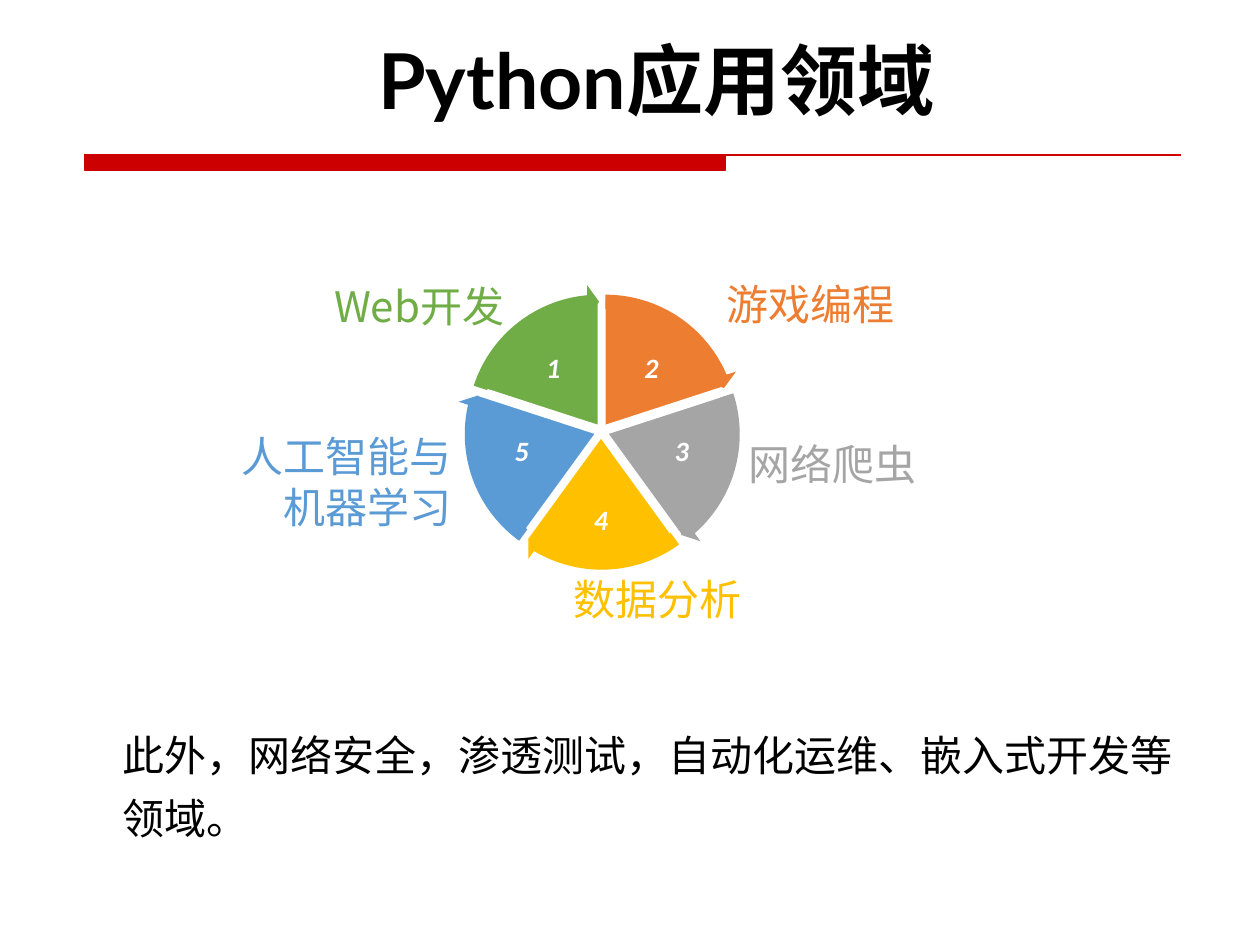
from lxml.etree import SubElement
from pptx import Presentation
from pptx.dml.color import RGBColor
from pptx.enum.shapes import MSO_SHAPE as Preset
from pptx.enum.text import MSO_ANCHOR as Anchor, MSO_AUTO_SIZE as AutoSize, PP_ALIGN as Align
from pptx.oxml.ns import qn
from pptx.util import Inches, Pt

COLORS = {
    "rule": "CC0000", "black": "000000", "white": "FFFFFF",
    "web": "70AD47", "games": "ED7D31", "crawler": "A5A5A5",
    "data": "FFC000", "ai": "5B9BD5",
}
CJK = "Noto Sans CJK SC"


def paint(shape, color, outline=None):
    shape.shadow.inherit = False
    shape.fill.solid()
    shape.fill.fore_color.rgb = RGBColor.from_string(COLORS[color])
    if outline:
        shape.line.color.rgb = RGBColor.from_string(COLORS[outline])
    else:
        shape.line.fill.background()


def add_text(shapes, box, lines, color, align=Align.LEFT, frame_format=None,
             paragraph_format=None, **font_format):
    frame = shapes.add_textbox(*map(Inches, box)).text_frame
    frame_format = {"word_wrap": True, "auto_size": AutoSize.SHAPE_TO_FIT_TEXT,
                    **(frame_format or {})}
    for name, value in frame_format.items():
        setattr(frame, name, value)
    for number, line in enumerate(lines):
        paragraph = frame.add_paragraph() if number else frame.paragraphs[0]
        for name, value in {"alignment": align, **(paragraph_format or {})}.items():
            setattr(paragraph, name, value)
        run = paragraph.add_run()
        run.text = line
        for name, value in {"name": CJK, "size": Pt(24), **font_format}.items():
            setattr(run.font, name, value)
        run.font.color.rgb = RGBColor.from_string(COLORS[color])
        SubElement(run.font._element, qn("a:ea"), typeface=CJK)
    return frame


prs = Presentation()
prs.slide_width, prs.slide_height = Inches(10), Inches(7.5)
slide = prs.slides.add_slide(prs.slide_layouts[6])

outline = slide.shapes.build_freeform(67, 123, scale=Inches(0.01))
outline.add_line_segments([(576, 123), (576, 135), (67, 135)], close=True)
outline.move_to(67, 123)
outline.add_line_segments([(937, 123)], close=False)
title_rule = outline.convert_to_shape()
paint(title_rule, "rule", "rule")
title_rule.line.width = Pt(0.75)

fields = [
    ("Web开发", "web", (1.8, 2.18, 2.3, 0.5), Align.RIGHT),
    ("游戏编程", "games", (5.67, 2.16, 4.18, 0.5), Align.LEFT),
    ("人工智能与机器学习", "ai", (1.8, 3.37, 1.88, 0.91), Align.RIGHT),
    ("网络爬虫", "crawler", (5.84, 3.43, 4.18, 0.5), Align.LEFT),
    ("数据分析", "data", (4.45, 4.5, 4.18, 0.5), Align.LEFT),
]
for field, color, box, align in fields:
    add_text(slide.shapes, box, [field], color, align)

closing = add_text(
    slide.shapes, (0.58, 5.64, 9.39, 1.04),
    ["此外，网络安全，渗透测试，自动化运维、嵌入式开发等", "领域。"],
    "black", Align.JUSTIFY, paragraph_format={"line_spacing": 1.25})
for paragraph in closing.paragraphs:
    properties = paragraph._p.get_or_add_pPr()
    properties.set("marL", "0")
    properties.set("indent", str(Inches(0.29)))

FULL_TURN, TOP = 216, 162
SWEEP = FULL_TURN / 5
HEAD = 3.28
RING = 0.12
wheel = slide.shapes.add_group_shape().shapes
slices = [
    ("2", "games", (3.8, 2.38), (4.94, 2.78, 0.46, 0.3)),
    ("3", "crawler", (3.82, 2.44), (5.2, 3.42, 0.42, 0.34)),
    ("4", "data", (3.77, 2.47), (4.57, 3.95, 0.4, 0.37)),
    ("5", "ai", (3.73, 2.44), (3.93, 3.42, 0.42, 0.34)),
    ("1", "web", (3.75, 2.38), (4.16, 2.78, 0.46, 0.3)),
]
number_frame = {"auto_size": AutoSize.NONE, "vertical_anchor": Anchor.MIDDLE}
for side in ("left", "right", "top", "bottom"):
    number_frame[f"margin_{side}"] = Inches(0.02)

for position, (number, color, (left, top), box) in enumerate(slices):
    start = (TOP + position * SWEEP) % FULL_TURN
    wedge = wheel.add_shape(Preset.PIE, Inches(left), Inches(top), Inches(2), Inches(2))
    wedge.adjustments[0] = start
    wedge.adjustments[1] = (start + SWEEP) % FULL_TURN
    paint(wedge, color, "white")
    wedge.line.width = Pt(1)
    add_text(wheel, box, [number], "white", Align.CENTER, number_frame,
             {"line_spacing": 0.9, "space_after": Pt(5.6)},
             name="Calibri", size=Pt(16), bold=True, italic=True)

for position, (number, color, (left, top), box) in enumerate(slices):
    start = (TOP + position * SWEEP) % FULL_TURN
    end = (start + SWEEP - HEAD) % FULL_TURN
    arrow = wheel.add_shape(Preset.CIRCULAR_ARROW, Inches(left - RING), Inches(top - RING),
                            Inches(2.25), Inches(2.25))
    for index, value in enumerate((0.05, HEAD, end, start, 0.06)):
        arrow.adjustments[index] = value
    paint(arrow, color)

add_text(slide.shapes, (1.14, 0.21, 8.14, 0.84), ["Python应用领域"], "black",
         Align.CENTER, name="Lato", size=Pt(44), bold=True)

prs.save("out.pptx")
